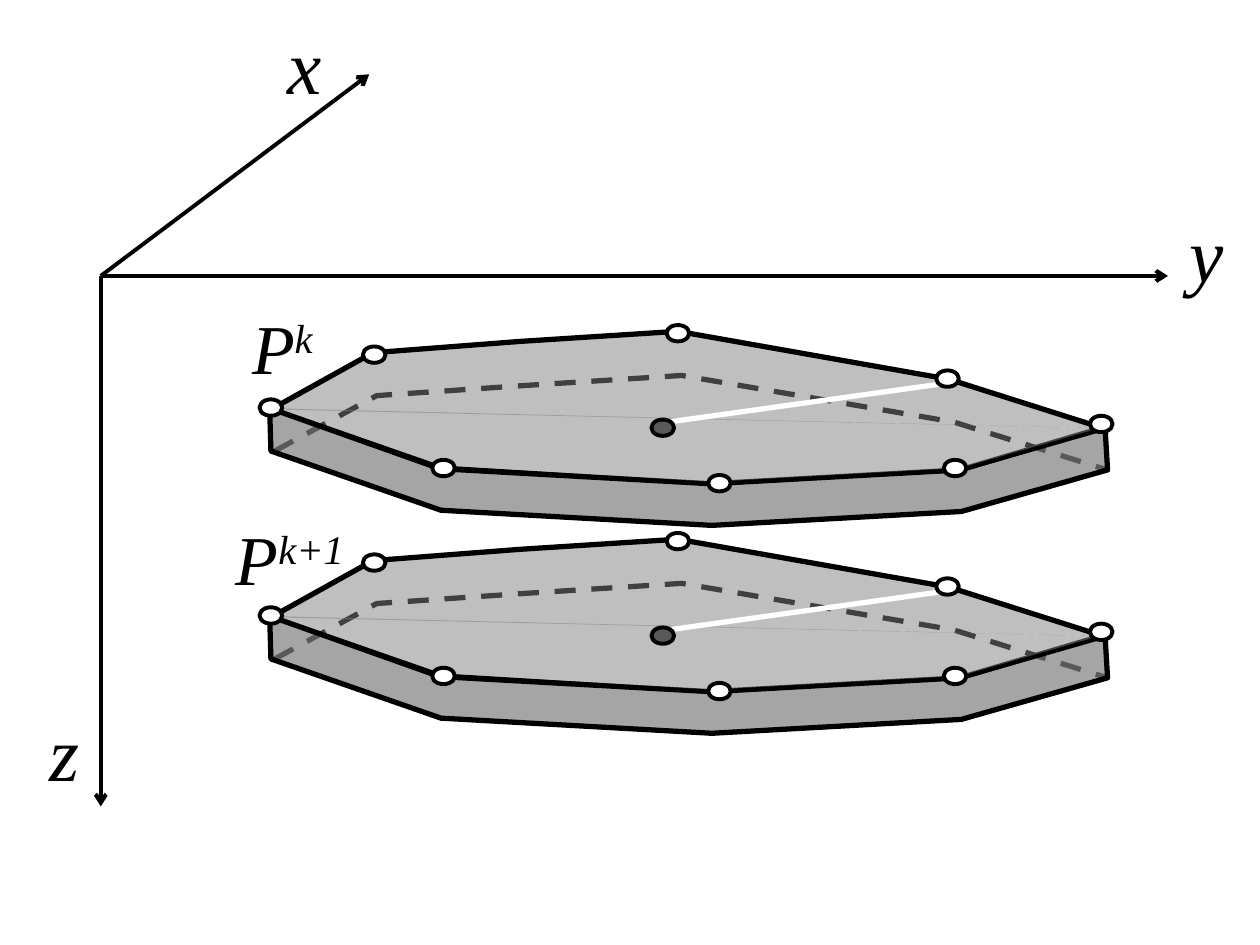
"""Draw two stacked polygonal slabs in an x, y, z frame."""
import dataclasses
import typing

import lxml.etree
import pptx
import pptx.dml.color
import pptx.enum.dml
import pptx.enum.shapes
import pptx.enum.text
import pptx.oxml.ns
import pptx.util

Inches = pptx.util.Inches
Point = tuple[float, float]


@dataclasses.dataclass(frozen=True)
class Theme:
    """Colours, font and sizes."""
    ink: str = "000000"
    paper: str = "FFFFFF"
    gray: str = "808080"
    core: str = "595959"
    font: str = "Times New Roman"
    axis: int = 44
    name: int = 40
    thin: float = 2.25
    thick: float = 3


@dataclasses.dataclass(frozen=True)
class Face:
    """One outline of a slab."""
    points: tuple[Point, ...]
    width: float
    alpha: typing.Optional[int] = None
    closed: bool = False


@dataclasses.dataclass(frozen=True)
class Label:
    """A letter with an optional superscript."""
    left: float
    top: float
    width: float
    height: float
    size: int
    base: str
    power: str = ""


@dataclasses.dataclass(frozen=True)
class Axis:
    """An arrow of the frame."""
    start: Point
    end: Point


THEME = Theme()
STEP = 1.65
DOT = (0.18, 0.13)
FACES = (
    Face(((2.18, 3.58), (2.99, 3.14), (4.16, 3.06), (5.41, 2.98), (7.57, 3.35),
          (8.79, 3.73)), THEME.thick),
    Face(((2.15, 3.25), (2.96, 2.8), (4.13, 2.71), (5.38, 2.63), (7.53, 3.01),
          (8.76, 3.4)), THEME.thick, 50),
    Face(((2.14, 3.24), (2.15, 3.58), (3.5, 4.05), (5.65, 4.17), (7.63, 4.06),
          (8.79, 3.73), (8.77, 3.39), (7.62, 3.73), (5.64, 3.84), (3.49, 3.72)),
         THEME.thick, 70, True),
    Face(((2.15, 3.24), (3.5, 3.71), (5.65, 3.84), (7.63, 3.73), (8.78, 3.4)),
         THEME.thin, 50),
)
NODES = ((3.43, 3.65), (2.88, 2.75), (5.29, 2.58), (7.49, 3.65), (5.62, 3.77),
         (2.06, 3.17), (8.65, 3.3), (7.43, 2.94))
CORE = (5.17, 3.33)
SPOKE = ((5.3, 3.35), (7.45, 3.05))
AXES = (Axis((0.8, 2.19), (0.8, 6.4)), Axis((0.8, 2.19), (2.93, 0.59)),
        Axis((0.8, 2.19), (9.27, 2.19)))
LABELS = (
    Label(1.85, 4.08, 1.05, 0.7, THEME.name, "P", "k+1"),
    Label(1.98, 2.41, 0.82, 0.7, THEME.name, "P", "k"),
    Label(2.26, 0.13, 1.53, 0.76, THEME.axis, "x"),
    Label(0.37, 5.58, 1.53, 0.76, THEME.axis, "z"),
    Label(9.42, 1.62, 0.62, 0.76, THEME.axis, "y"),
)


def apply(item: typing.Any, values: dict[str, typing.Any]) -> None:
    """Set each named attribute."""
    for key, value in values.items():
        setattr(item, key, value)


def tint(color: str) -> pptx.dml.color.RGBColor:
    """Turn hex digits into a colour."""
    return pptx.dml.color.RGBColor.from_string(color)


def child(parent: typing.Any, tag: str, **values: str) -> None:
    """Append a drawing element."""
    lxml.etree.SubElement(parent, pptx.oxml.ns.qn(tag), values)


def stroke(shape: typing.Any, color: str, width: float) -> None:
    """Give a shape a plain line."""
    shape.line.color.rgb = tint(color)
    shape.line.width = pptx.util.Pt(width)


def paint(shape: typing.Any, color: str) -> None:
    """Give a shape a solid fill."""
    shape.fill.solid()
    shape.fill.fore_color.rgb = tint(color)


def add_face(shapes: typing.Any, face: Face, drop: float) -> None:
    """Draw a slab outline, dashed if hidden."""
    spots = [(Inches(x), Inches(y + drop)) for x, y in face.points]
    pen = shapes.build_freeform(*spots[0])
    pen.add_line_segments(spots[1:], close=face.closed)
    shape = pen.convert_to_shape()
    shape.shadow.inherit = False
    stroke(shape, THEME.ink, face.width)
    if face.alpha is None:
        shape.fill.background()
        shape.line.dash_style = pptx.enum.dml.MSO_LINE.DASH
    else:
        paint(shape, THEME.gray)
        color = shape.element.spPr.find(
            "/".join(map(pptx.oxml.ns.qn, ("a:solidFill", "a:srgbClr"))))
        child(color, "a:alpha", val=str(face.alpha * 1000))


def add_dot(shapes: typing.Any, spot: Point, drop: float, color: str) -> None:
    """Draw a vertex or centre dot."""
    box = map(Inches, (spot[0], spot[1] + drop, *DOT))
    shape = shapes.add_shape(pptx.enum.shapes.MSO_SHAPE.OVAL, *box)
    shape.shadow.inherit = False
    paint(shape, color)
    stroke(shape, THEME.ink, THEME.thin)


def add_line(shapes: typing.Any, start: Point, end: Point, color: str,
             width: float, arrow: bool = False) -> None:
    """Draw a straight line."""
    line = shapes.add_connector(pptx.enum.shapes.MSO_CONNECTOR.STRAIGHT,
                                *map(Inches, (*start, *end)))
    stroke(line, color, width)
    if arrow:
        child(line.line.color and line.element.spPr.find(pptx.oxml.ns.qn("a:ln")),
              "a:tailEnd", type="arrow")
    child(line.element.spPr, "a:effectLst")


def add_label(shapes: typing.Any, label: Label) -> None:
    """Write a letter and its superscript."""
    box = map(Inches, (label.left, label.top, label.width, label.height))
    frame = shapes.add_textbox(*box).text_frame
    apply(frame, dict(word_wrap=True,
                      auto_size=pptx.enum.text.MSO_AUTO_SIZE.SHAPE_TO_FIT_TEXT,
                      margin_left=Inches(0.02), margin_right=Inches(0.02),
                      margin_top=Inches(0.01), margin_bottom=Inches(0.01)))
    for text in filter(None, (label.base, label.power)):
        run = frame.paragraphs[0].add_run()
        run.text = text
        apply(run.font, dict(name=THEME.font, size=pptx.util.Pt(label.size),
                             italic=True))
        run.font.color.rgb = tint(THEME.ink)
        if text == label.power:
            run.font._element.set("baseline", "30000")


def add_slab(shapes: typing.Any, drop: float) -> None:
    """Draw a slab moved down by a drop."""
    for face in FACES:
        add_face(shapes, face, drop)
    start, end = ((x, y + drop) for x, y in SPOKE)
    add_line(shapes, start, end, THEME.paper, THEME.thick)
    add_dot(shapes, CORE, drop, THEME.core)
    for node in NODES:
        add_dot(shapes, node, drop, THEME.paper)


def main() -> None:
    """Build and save the slide."""
    deck = pptx.Presentation()
    apply(deck, dict(slide_width=Inches(10), slide_height=Inches(7.5)))
    shapes = deck.slides.add_slide(deck.slide_layouts[6]).shapes
    for drop in (STEP, 0):
        add_slab(shapes, drop)
    for axis in AXES:
        add_line(shapes, axis.start, axis.end, THEME.ink, THEME.thin, True)
    for label in LABELS:
        add_label(shapes, label)
    deck.save("out.pptx")


if __name__ == "__main__":
    main()
